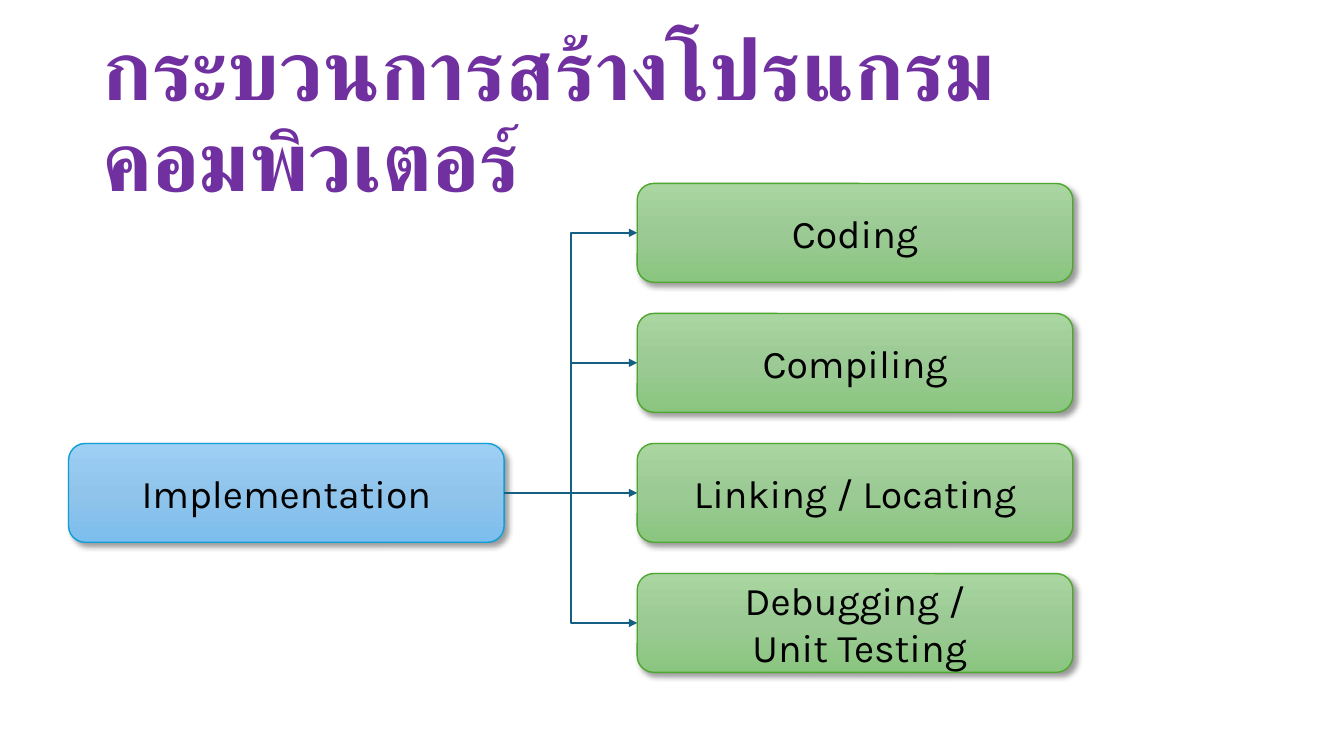
import copy

import pptx
import pptx.dml.color
import pptx.enum.lang
import pptx.enum.shapes
import pptx.enum.text
import pptx.oxml
import pptx.oxml.ns
import pptx.util
from pptx.oxml.ns import qn

Inches = pptx.util.Inches
Pt = pptx.util.Pt

COLUMNS = (0.68, 6.32)
FIRST_ROW, ROW_PITCH = 1.82, 1.29
BOX_WIDTH, BOX_HEIGHT = 4.32, 0.98
IMPLEMENTATION_ROW = 2
STEPS = ("Coding", "Compiling", "Linking / Locating", "Debugging /\n Unit Testing")
GREEN = (("A8D5A0", "9CCA94", "8AC680"), "4EA72E")
BLUE = (("9ECFF5", "90C4EB", "7CBEED"), "0F9ED5")
SHADOW = (
    '<a:outerShdw %s blurRad="50800" dist="38100" dir="2700000" algn="tl" rotWithShape="0">'
    '<a:srgbClr val="000000"><a:alpha val="40000"/></a:srgbClr></a:outerShdw>'
    % pptx.oxml.ns.nsdecls("a")
)


def rgb(value):
    return pptx.dml.color.RGBColor.from_string(value)


def style_run(run, font_name, size, color, bold=False):
    run.font.name = font_name
    run.font.size = Pt(size)
    run.font.bold = bold
    run.font.color.rgb = rgb(color)


def add_title(slide, text):
    title = slide.shapes.add_textbox(Inches(0.92), Inches(0.45), Inches(11.5), Inches(1.45))
    frame = title.text_frame
    frame.word_wrap = True
    frame.vertical_anchor = pptx.enum.text.MSO_ANCHOR.MIDDLE
    frame.text = text
    paragraph = frame.paragraphs[0]
    paragraph.line_spacing = 0.9
    run = paragraph.runs[0]
    style_run(run, "Arial", 60, "7030A0", bold=True)
    run.font.language_id = pptx.enum.lang.MSO_LANGUAGE_ID.THAI
    thai_font = pptx.oxml.parse_xml(
        '<a:cs %s typeface="Arial"/>' % pptx.oxml.ns.nsdecls("a"))
    run.font._element.append(thai_font)


def fill_gradient(box, colors):
    """Fill from top to bottom with three evenly spaced colours."""
    box.fill.gradient()
    box.fill.gradient_angle = 270
    stop_list = box._element.spPr.find(qn("a:gradFill")).find(qn("a:gsLst"))
    stop_list.insert(1, copy.deepcopy(stop_list[0]))
    for index, (stop, color) in enumerate(zip(box.fill.gradient_stops, colors)):
        stop.position = index / 2
        stop.color.rgb = rgb(color)


def add_box(slide, column, row, text, palette):
    box = slide.shapes.add_shape(
        pptx.enum.shapes.MSO_SHAPE.ROUNDED_RECTANGLE,
        Inches(COLUMNS[column]), Inches(FIRST_ROW + row * ROW_PITCH),
        Inches(BOX_WIDTH), Inches(BOX_HEIGHT))
    colors, outline = palette
    fill_gradient(box, colors)
    box.line.color.rgb = rgb(outline)
    box.line.width = Pt(1)
    box.shadow.inherit = False
    box._element.spPr.find(qn("a:effectLst")).append(pptx.oxml.parse_xml(SHADOW))
    frame = box.text_frame
    frame.word_wrap = True
    frame.vertical_anchor = pptx.enum.text.MSO_ANCHOR.MIDDLE
    frame.text = text
    for paragraph in frame.paragraphs:
        paragraph.alignment = pptx.enum.text.PP_ALIGN.CENTER
        style_run(paragraph.runs[0], "Karla", 28, "000000")
    return box


def add_arrow(slide, source, target):
    """Join the right side of source to the left side of target."""
    arrow = slide.shapes.add_connector(pptx.enum.shapes.MSO_CONNECTOR.ELBOW, 0, 0, 0, 0)
    arrow.begin_connect(source, 3)
    arrow.end_connect(target, 1)
    arrow.line.color.rgb = rgb("156082")
    arrow.line.width = Pt(1.5)
    properties = arrow._element.spPr
    head = properties.find(qn("a:ln")).makeelement(qn("a:tailEnd"), {"type": "triangle"})
    properties.find(qn("a:ln")).append(head)
    properties.append(properties.makeelement(qn("a:effectLst"), {}))


def main():
    presentation = pptx.Presentation()
    presentation.slide_width = Inches(13.33)
    presentation.slide_height = Inches(7.5)
    slide = presentation.slides.add_slide(presentation.slide_layouts[6])

    add_title(slide, "กระบวนการสร้างโปรแกรมคอมพิวเตอร์")
    implementation = add_box(slide, 0, IMPLEMENTATION_ROW, "Implementation", BLUE)
    steps = [add_box(slide, 1, row, text, GREEN) for row, text in enumerate(STEPS)]
    for step in steps:
        add_arrow(slide, implementation, step)

    presentation.save("out.pptx")


if __name__ == "__main__":
    main()
